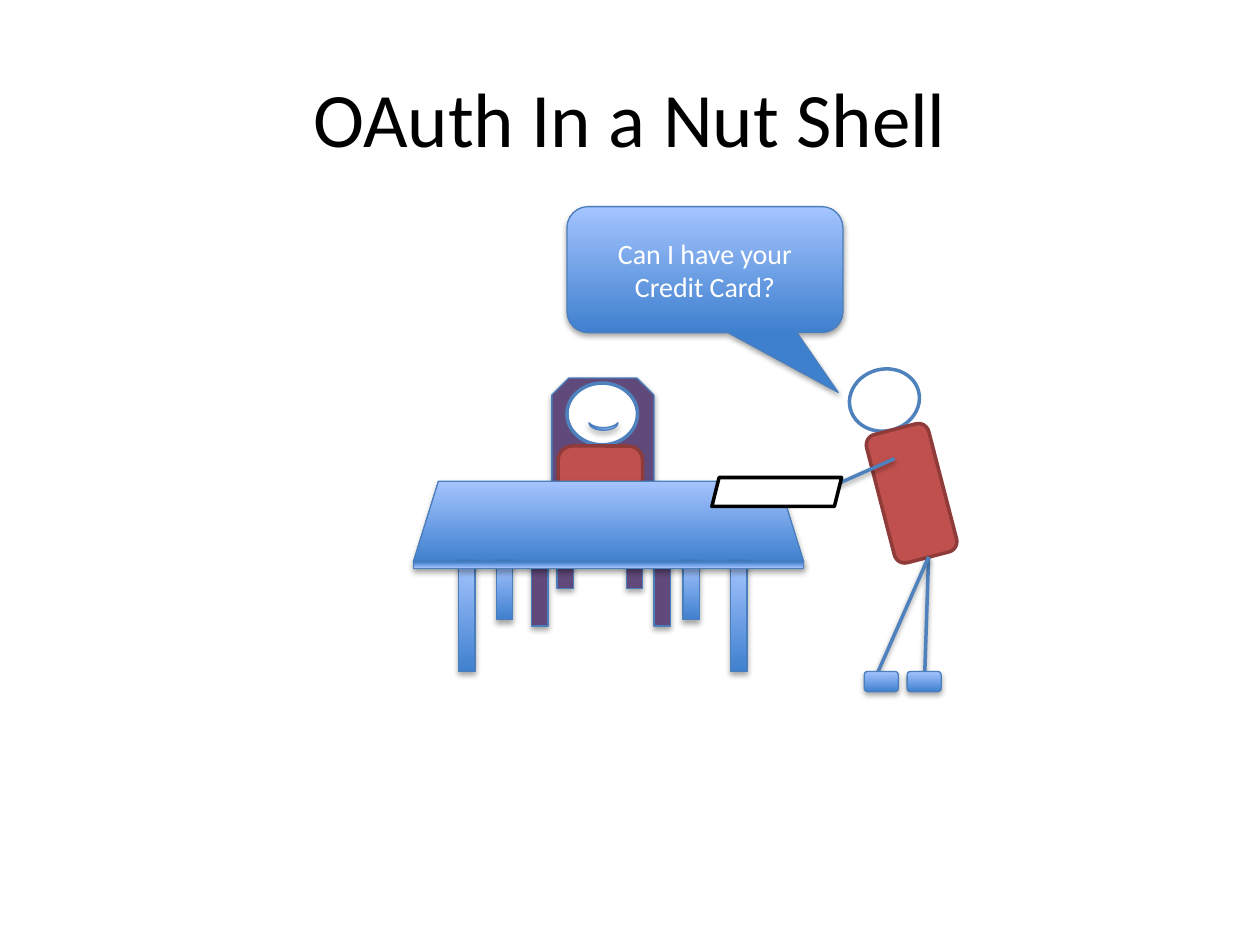
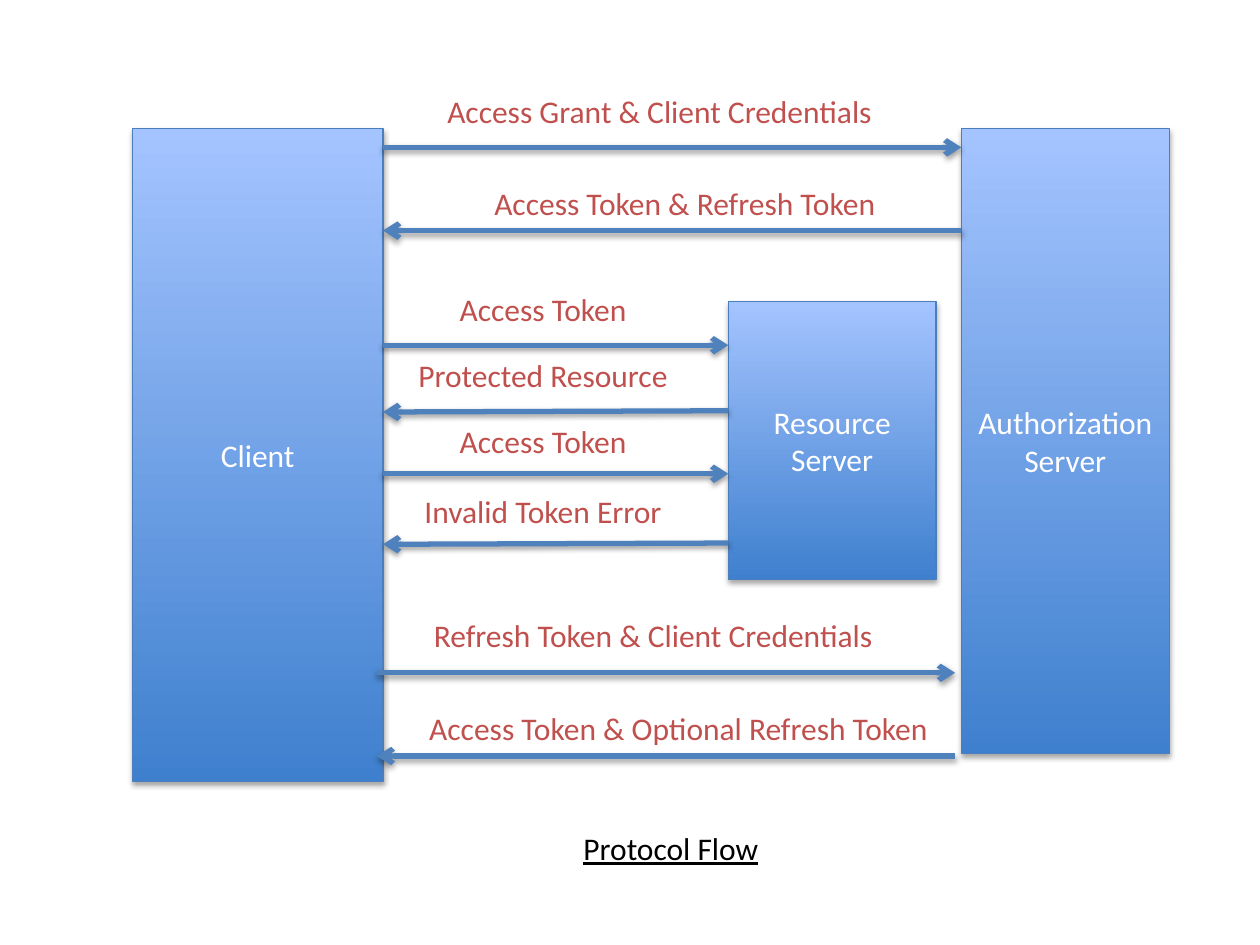
from dataclasses import dataclass

from pptx import Presentation
from pptx.dml.color import RGBColor
from pptx.enum.shapes import MSO_CONNECTOR, MSO_SHAPE
from pptx.enum.text import MSO_ANCHOR, PP_ALIGN
from pptx.oxml import parse_xml
from pptx.oxml.ns import nsdecls
from pptx.util import Inches, Pt


@dataclass(frozen=True)
class Theme:
    font: str = "Calibri"
    title_size: int = 44
    body_size: int = 18
    speech_size: int = 16
    black: str = "000000"
    white: str = "FFFFFF"
    blue: str = "4F81BD"
    edge: str = "4B7EBC"
    red: str = "C0504D"
    dark_red: str = "8E3B39"
    purple: str = "604A7B"
    gradient: tuple = ("3F80CE", "A4C4FF")
    thin: float = 0.75
    figure_line: float = 2
    arrow_line: float = 3
    shadow: str = (
        '<a:effectLst %s><a:outerShdw blurRad="40000" dist="{}" dir="5400000" rotWithShape="0">'
        '<a:srgbClr val="000000"><a:alpha val="{}"/></a:srgbClr></a:outerShdw></a:effectLst>'
        % nsdecls("a")
    )


theme = Theme()


def add_block(shapes, kind, box, fill=None, edge=None, text="", size=theme.body_size,
              color=theme.white, anchor=MSO_ANCHOR.MIDDLE, rotation=0, adjustments=()):
    place = [Inches(length) for length in box]
    if kind is None:
        shape = shapes.add_textbox(*place)
    else:
        shape = shapes.add_shape(kind, *place)
        shape.shadow.inherit = False
        shape.rotation = rotation
        for index, value in enumerate(adjustments):
            shape.adjustments[index] = value
        if fill:
            shape.fill.solid()
            shape.fill.fore_color.rgb = RGBColor.from_string(fill)
        else:
            shape.fill.gradient()
            shape.fill.gradient_angle = 90
            for stop, stop_color in zip(shape.fill.gradient_stops, theme.gradient):
                stop.color.rgb = RGBColor.from_string(stop_color)
        shape.line.color.rgb = RGBColor.from_string(edge or theme.edge)
        shape.line.width = Pt(theme.figure_line if edge else theme.thin)
        if not edge:
            properties = shape._element.spPr
            properties.replace(properties.effectLst if hasattr(properties, "effectLst")
                               else properties[-1], parse_xml(theme.shadow.format(23000, 35000)))
    if text:
        frame = shape.text_frame
        frame.word_wrap = True
        frame.vertical_anchor = anchor
        paragraph = frame.paragraphs[0]
        paragraph.alignment = PP_ALIGN.CENTER
        run = paragraph.add_run()
        run.text = text
        run.font.name = theme.font
        run.font.size = Pt(size)
        run.font.color.rgb = RGBColor.from_string(color)
    return shape


def add_line(shapes, start, end, width, arrow=False):
    ends = [Inches(length) for length in (*start, *end)]
    connector = shapes.add_connector(MSO_CONNECTOR.STRAIGHT, *ends)
    connector.line.color.rgb = RGBColor.from_string(theme.blue)
    connector.line.width = Pt(width)
    if arrow:
        connector.line._get_or_add_ln().append(parse_xml('<a:tailEnd type="arrow" %s/>' % nsdecls("a")))
    connector._element.spPr.append(parse_xml(theme.shadow.format(20000, 38000)))


presentation = Presentation()
presentation.slide_width = Inches(10)
presentation.slide_height = Inches(7.5)
blank = presentation.slide_layouts[6]

slide = presentation.slides.add_slide(blank)
shapes = slide.shapes

chair = shapes.add_group_shape().shapes
add_block(chair, MSO_SHAPE.SNIP_2_SAME_RECTANGLE, (4.38, 3, 0.81, 0.91), theme.purple)
add_block(chair, MSO_SHAPE.TRAPEZOID, (4.22, 3.91, 1.13, 0.42), theme.purple)
for left, height in ((4.22, 0.64), (5.19, 0.64), (4.42, 0.34), (4.97, 0.34)):
    add_block(chair, MSO_SHAPE.RECTANGLE, (left, 4.33, 0.13, height), theme.purple)

add_block(shapes, None, (0.5, 0.3, 9, 1.25), text="OAuth In a Nut Shell",
          size=theme.title_size, color=theme.black)

guest = shapes.add_group_shape().shapes
add_block(guest, MSO_SHAPE.OVAL, (4.5, 3.04, 0.56, 0.49), theme.white, theme.blue)
add_block(guest, MSO_SHAPE.ROUNDED_RECTANGLE, (4.43, 3.54, 0.67, 0.83), theme.red, theme.dark_red)

table = shapes.add_group_shape().shapes
add_block(table, MSO_SHAPE.TRAPEZOID, (3.28, 3.82, 3.1, 0.64), adjustments=(0.312,))
for left, height in ((3.64, 0.87), (5.8, 0.87), (3.94, 0.46), (5.42, 0.46)):
    add_block(table, MSO_SHAPE.RECTANGLE, (left, 4.46, 0.13, height))
table_edge = add_block(table, MSO_SHAPE.RECTANGLE, (3.28, 4.46, 3.1, 0.05))
table_edge._element.spPr.xfrm.set("flipV", "1")

waiter_tilt = 345.5
add_block(shapes, MSO_SHAPE.OVAL, (6.74, 2.93, 0.56, 0.49), theme.white, theme.blue,
          rotation=waiter_tilt)
add_block(shapes, MSO_SHAPE.ROUNDED_RECTANGLE, (6.98, 3.39, 0.51, 1.05), theme.red, theme.dark_red,
          rotation=waiter_tilt)
hip = (7.37, 4.42)
for joint, tip in (((7.1, 3.64), (6.49, 3.91)), (hip, (7.34, 5.33)), (hip, (6.97, 5.33))):
    add_line(shapes, joint, tip, theme.figure_line)
add_block(shapes, MSO_SHAPE.PARALLELOGRAM, (5.65, 3.79, 1.03, 0.23), theme.white, theme.black)
for shoe_left in (7.2, 6.86):
    add_block(shapes, MSO_SHAPE.ROUNDED_RECTANGLE, (shoe_left, 5.33, 0.27, 0.16))

smile = add_block(shapes, MSO_SHAPE.MOON, (4.76, 3.27, 0.06, 0.23), rotation=90, adjustments=(0.35,))
smile._element.spPr.xfrm.set("flipH", "1")
add_block(shapes, MSO_SHAPE.ROUNDED_RECTANGULAR_CALLOUT, (4.5, 1.64, 2.19, 1),
          text="Can I have your Credit Card?", size=theme.speech_size,
          adjustments=(0.483, 0.975, 0.167))

slide = presentation.slides.add_slide(blank)
shapes = slide.shapes

for party, box in (
    ("Client", (1.05, 1.02, 1.99, 5.18)),
    ("Authorization Server", (7.63, 1.02, 1.65, 4.96)),
    ("Resource Server", (5.78, 2.39, 1.65, 2.21)),
):
    add_block(shapes, MSO_SHAPE.RECTANGLE, box, text=party)

client, resource, authorization = 3.04, 5.78, 7.63
shift = 0.05
messages = (
    ("Access Grant & Client Credentials", (client, 1.17), (authorization, 1.17), (3.22, 0.68, 4.03)),
    ("Access Token & Refresh Token", (authorization, 1.83), (client, 1.83), (3.04, 1.41, 4.79)),
    ("Access Token", (client, 2.74), (resource, 2.74), (2.84, 2.25, 2.94)),
    ("Protected Resource", (resource, 3.26), (client, 3.27), (2.84, 2.78, 2.94)),
    ("Access Token", (client, 3.76), (resource, 3.76), (2.84, 3.3, 2.94)),
    ("Invalid Token Error", (resource, 4.31), (client, 4.32), (2.84, 3.86, 2.94)),
    ("Refresh Token & Client Credentials", (client - shift, 5.34), (authorization - shift, 5.34),
     (3.17, 4.84, 4.03)),
    ("Access Token & Optional Refresh Token", (authorization - shift, 6), (client - shift, 6),
     (2.99, 5.58, 4.79)),
)
label_height = 0.4
for message, start, end, label in messages:
    add_line(shapes, start, end, theme.arrow_line, arrow=True)
    add_block(shapes, None, (*label, label_height), text=message, color=theme.red,
              anchor=MSO_ANCHOR.TOP)

caption = add_block(shapes, None, (3.4, 6.53, 3.85, label_height), text="Protocol Flow",
                    color=theme.black, anchor=MSO_ANCHOR.TOP)
caption.text_frame.paragraphs[0].runs[0].font.underline = True

presentation.save("out.pptx")
